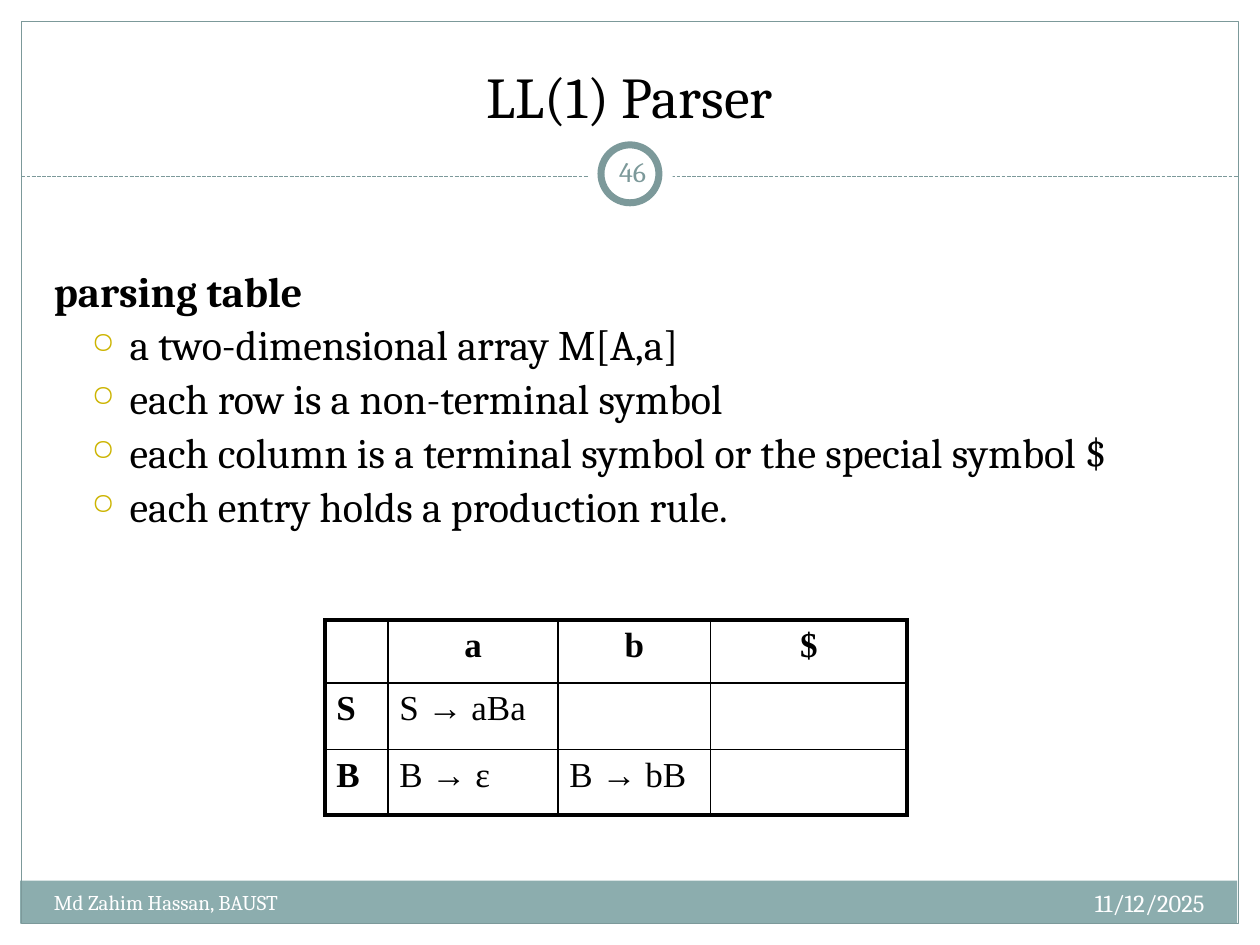
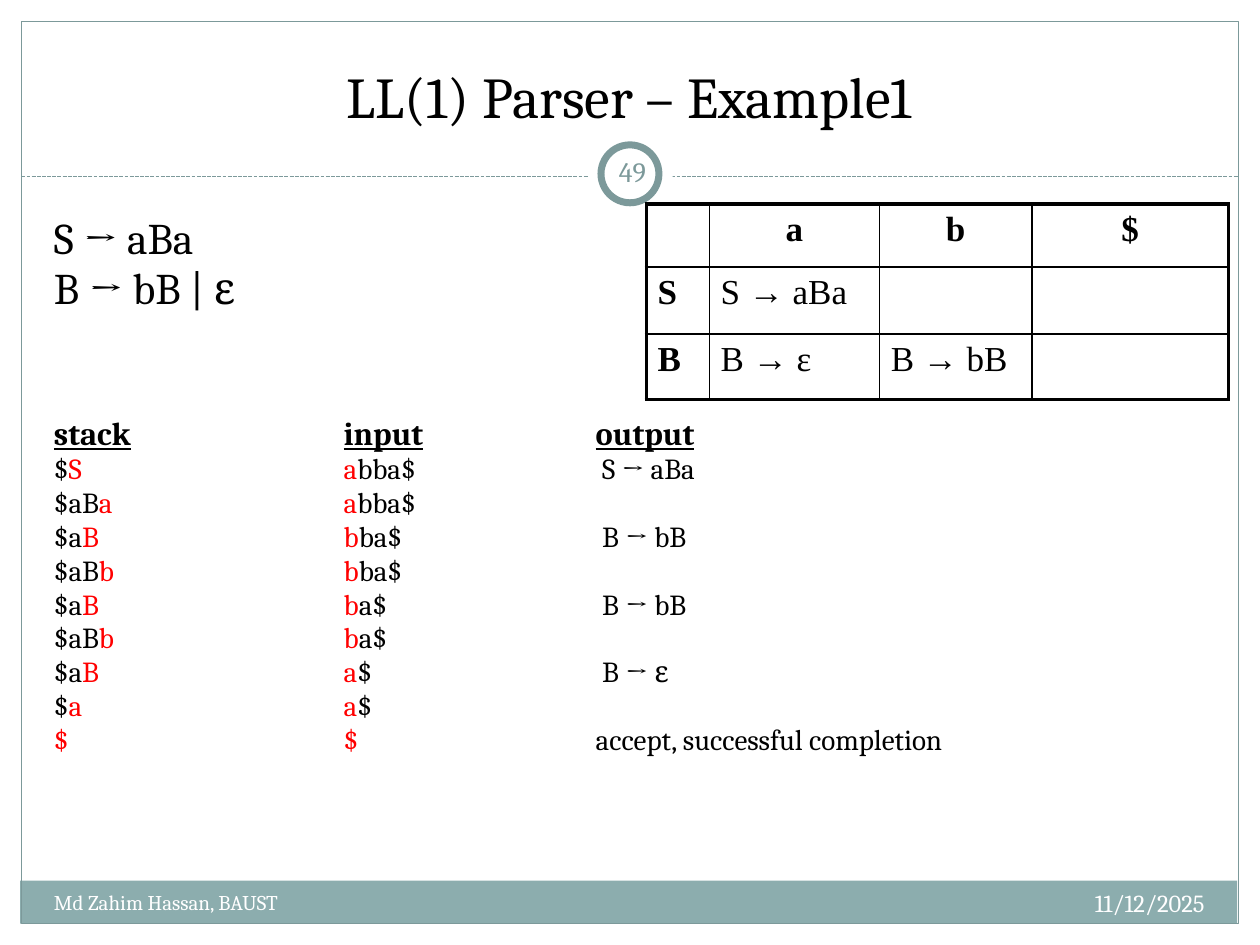
"""Build two slides on the LL(1) parser and its parsing table."""
from dataclasses import dataclass
from typing import NamedTuple

from lxml.etree import SubElement
from pptx import Presentation
from pptx.dml.color import RGBColor
from pptx.enum.dml import MSO_LINE
from pptx.enum.shapes import MSO_CONNECTOR as LINK, MSO_SHAPE as KIND
from pptx.enum.text import MSO_ANCHOR as ANCHOR, PP_ALIGN as ALIGN
from pptx.oxml import parse_xml
from pptx.oxml.ns import nsdecls, qn
from pptx.util import Emu, Inches, Pt

BLACK = RGBColor(0x00, 0x00, 0x00)
WHITE = RGBColor(0xFF, 0xFF, 0xFF)
RED = RGBColor(0xFF, 0x00, 0x00)
TEAL = RGBColor(0x7C, 0x99, 0x9A)
BAND = RGBColor(0x8C, 0xAD, 0xAE)
GOLD = RGBColor(0xCC, 0xB4, 0x00)

SERIF = "Cambria"
ROMAN = "Times New Roman"
MIDDLE = 5
STOPS = (2.3, 4.3)

POINTS = (
    "a two-dimensional array M[A,a]",
    "each row is a non-terminal symbol",
    "each column is a terminal symbol or the special symbol $",
    "each entry holds a production rule.",
)
RULES = ("S → aBa", "B → bB | ε")
WIDTHS = (0.5, 1.35, 1.21, 1.56)
HEIGHTS = (0.5, 0.53, 0.52)
CELLS = (
    ("", "a", "b", "$"),
    ("S", "S → aBa", "", ""),
    ("B", "B → ε", "B → bB", ""),
)


class Box(NamedTuple):
    """Hold a place on the slide in inches."""
    left: float
    top: float
    width: float
    height: float

    def lengths(self) -> tuple[Emu, ...]:
        """Give the four sides as lengths."""
        return tuple(Inches(side) for side in self)


class Step(NamedTuple):
    """Hold one move of the parser."""
    stack: str
    input: str
    output: str = ""


@dataclass(frozen=True)
class Style:
    """Describe how a block of text looks."""
    size: float
    color: RGBColor = BLACK
    bold: bool = False
    align: ALIGN = ALIGN.LEFT
    anchor: ANCHOR = ANCHOR.TOP
    inset: float = 0.1
    pitch: float | None = None
    face: str = SERIF


@dataclass(frozen=True)
class Label:
    """Pair a place with its text and style."""
    box: Box
    text: str
    style: Style


@dataclass(frozen=True)
class Round:
    """Describe a shape of the frame."""
    kind: KIND
    box: Box
    fill: RGBColor | None = None
    weight: float = 0


STEPS = (
    Step("$S", "abba$", " S → aBa"),
    Step("$aBa", "abba$"),
    Step("$aB", "bba$", " B → bB"),
    Step("$aBb", "bba$"),
    Step("$aB", "ba$", " B → bB"),
    Step("$aBb", "ba$"),
    Step("$aB", "a$", " B → ε"),
    Step("$a", "a$"),
    Step("$", "$", "accept, successful completion"),
)
FRAME = (
    Round(KIND.RECTANGLE, Box(0.16, 6.99, 9.66, 0.34), BAND),
    Round(KIND.RECTANGLE, Box(0.17, 0.17, 9.66, 7.16), None, 0.75),
)
RINGS = (
    Round(KIND.OVAL, Box(MIDDLE - 0.33, 1.05, 0.67, 0.67), WHITE),
    Round(KIND.OVAL, Box(MIDDLE - 0.23, 1.15, 0.46, 0.46), WHITE, 4),
)
FOOTER = (
    Label(Box(6.33, 7, 3.33, 0.4), "11/12/2025", Style(14, WHITE, align=ALIGN.RIGHT)),
    Label(Box(0.33, 7.01, 3.92, 0.4), "Md Zahim Hassan, BAUST", Style(12, WHITE)),
)
TITLE = Style(33, align=ALIGN.CENTER, anchor=ANCHOR.BOTTOM)
NUMBER = Style(16, TEAL, align=ALIGN.CENTER, anchor=ANCHOR.MIDDLE, inset=0.05)
BODY = Style(24, pitch=30.7)
GRAMMAR = Style(25, pitch=28.6)
HEAD = Style(18.5, bold=True, pitch=19.3)
TRACE = Style(16.6, pitch=19.3)
ENTRY = Style(20, face=ROMAN)
KEY = Style(20, face=ROMAN, bold=True)


def dress(run, style: Style, color: RGBColor | None = None) -> None:
    """Set the font of a run."""
    font = run.font
    font.name, font.size, font.bold = style.face, Pt(style.size), style.bold
    font.color.rgb = color or style.color


def space(para, style: Style) -> None:
    """Set the line pitch and side of a paragraph."""
    para.alignment = style.align
    if style.pitch:
        para.line_spacing = Pt(style.pitch)


def add_text(slide, label: Label):
    """Draw a text box and give back its frame."""
    style = label.style
    frame = slide.shapes.add_textbox(*label.box.lengths()).text_frame
    frame.word_wrap = True
    frame.vertical_anchor = style.anchor
    frame.margin_left = frame.margin_right = Inches(style.inset)
    frame.text = label.text
    for para in frame.paragraphs:
        space(para, style)
        for run in para.runs:
            dress(run, style)
    return frame


def add_round(slide, item: Round) -> None:
    """Draw a shape of the frame."""
    shape = slide.shapes.add_shape(item.kind, *item.box.lengths())
    shape.shadow.inherit = False
    if item.fill is None:
        shape.fill.background()
    else:
        shape.fill.solid()
        shape.fill.fore_color.rgb = item.fill
    if item.weight:
        shape.line.color.rgb = TEAL
        shape.line.width = Pt(item.weight)
    else:
        shape.line.fill.background()


def add_rule(slide) -> None:
    """Draw the dashed line under the title."""
    ends = (Inches(side) for side in (0.17, 1.4, 9.83, 1.4))
    link = slide.shapes.add_connector(LINK.STRAIGHT, *ends)
    link.line.color.rgb = TEAL
    link.line.width = Pt(0.75)
    link.line.dash_style = MSO_LINE.SQUARE_DOT
    SubElement(link._element.spPr, qn("a:effectLst"))


def add_page(deck, title: str, number: int):
    """Start a slide with all that the slides share."""
    slide = deck.slides.add_slide(deck.slide_layouts[6])
    for item in FRAME:
        add_round(slide, item)
    add_rule(slide)
    for item in RINGS:
        add_round(slide, item)
    heading = Label(Box(0.33, 0.25, 9.33, 0.83), title, TITLE)
    count = Label(Box(4.77, 1.12, 0.5, 0.48), str(number), NUMBER)
    for label in (heading, *FOOTER, count):
        add_text(slide, label)
    return slide


def add_bullet(para) -> None:
    """Give a paragraph a gold ring as its bullet."""
    props = para._p.get_or_add_pPr()
    props.set("marL", str(Inches(0.6)))
    props.set("indent", str(-Inches(0.3)))
    color = SubElement(props, qn("a:buClr"))
    SubElement(color, qn("a:srgbClr"), val=str(GOLD))
    SubElement(props, qn("a:buSzPct"), val="70000")
    SubElement(props, qn("a:buChar"), char="○")


def add_stops(para) -> None:
    """Set the tab stops of the trace."""
    tabs = SubElement(para._p.get_or_add_pPr(), qn("a:tabLst"))
    for stop in STOPS:
        SubElement(tabs, qn("a:tab"), pos=str(Inches(stop)), algn="l")


def add_edges(cell, row: int, col: int) -> None:
    """Draw thick outer and thin inner cell borders."""
    outer = {"L": col == 0, "R": col == len(WIDTHS) - 1,
             "T": row == 0, "B": row == len(HEIGHTS) - 1}
    props = cell._tc.get_or_add_tcPr()
    for spot, (side, thick) in enumerate(outer.items()):
        width = Pt(2.25 if thick else 1)
        props.insert(spot, parse_xml(
            f'<a:ln{side} {nsdecls("a")} w="{width}"><a:solidFill>'
            f'<a:srgbClr val="{BLACK}"/></a:solidFill></a:ln{side}>'))


def add_grid(slide, left: float, top: float) -> None:
    """Draw the parsing table."""
    box = Box(left, top, sum(WIDTHS), sum(HEIGHTS))
    shape = slide.shapes.add_table(len(HEIGHTS), len(WIDTHS), *box.lengths())
    table = shape.table
    table.first_row = table.horz_banding = False
    for col, width in enumerate(WIDTHS):
        table.columns[col].width = Inches(width)
    for row, height in enumerate(HEIGHTS):
        table.rows[row].height = Inches(height)
        for col, text in enumerate(CELLS[row]):
            cell = table.cell(row, col)
            cell.fill.background()
            add_edges(cell, row, col)
            cell.margin_left = cell.margin_right = Inches(0.09)
            cell.text_frame.text = text
            para = cell.text_frame.paragraphs[0]
            para.alignment = ALIGN.LEFT if row else ALIGN.CENTER
            for run in para.runs:
                dress(run, ENTRY if row and col else KEY)


def add_runs(para, style: Style, parts: list[tuple[str, RGBColor]]) -> None:
    """Fill a line of the trace with coloured runs."""
    space(para, style)
    add_stops(para)
    for text, color in parts:
        if text:
            run = para.add_run()
            run.text = text
            dress(run, style, color)
            run.font.underline = style.bold and text != "\t"


def add_trace(slide) -> None:
    """List the moves, with the compared symbols in red."""
    frame = add_text(slide, Label(Box(0.33, 3.27, 9.3, 2.8), "", TRACE))
    heads = [(text, BLACK) for text in ("stack", "\t", "input", "\t", "output")]
    add_runs(frame.paragraphs[0], HEAD, heads)
    for step in STEPS:
        tail = f"\t{step.output}" if step.output else ""
        add_runs(frame.add_paragraph(), TRACE, [
            (step.stack[:-1], BLACK), (step.stack[-1], RED), ("\t", BLACK),
            (step.input[0], RED), (step.input[1:] + tail, BLACK)])


def main() -> None:
    """Build and save the deck."""
    deck = Presentation()
    deck.slide_width, deck.slide_height = Inches(10), Inches(7.5)

    slide = add_page(deck, "LL(1) Parser", 46)
    text = "\n".join(("parsing table", *POINTS))
    lead, *points = add_text(slide, Label(Box(0.33, 2.03, 9.3, 2.4), text, BODY)).paragraphs
    lead.runs[0].font.bold = True
    for para in points:
        add_bullet(para)
    add_grid(slide, 2.58, 4.92)

    slide = add_page(deck, "LL(1) Parser – Example1", 49)
    add_text(slide, Label(Box(0.33, 1.64, 4.5, 0.95), "\n".join(RULES), GRAMMAR))
    add_trace(slide)
    add_grid(slide, 5.13, 1.62)

    deck.save("out.pptx")


if __name__ == "__main__":
    main()
